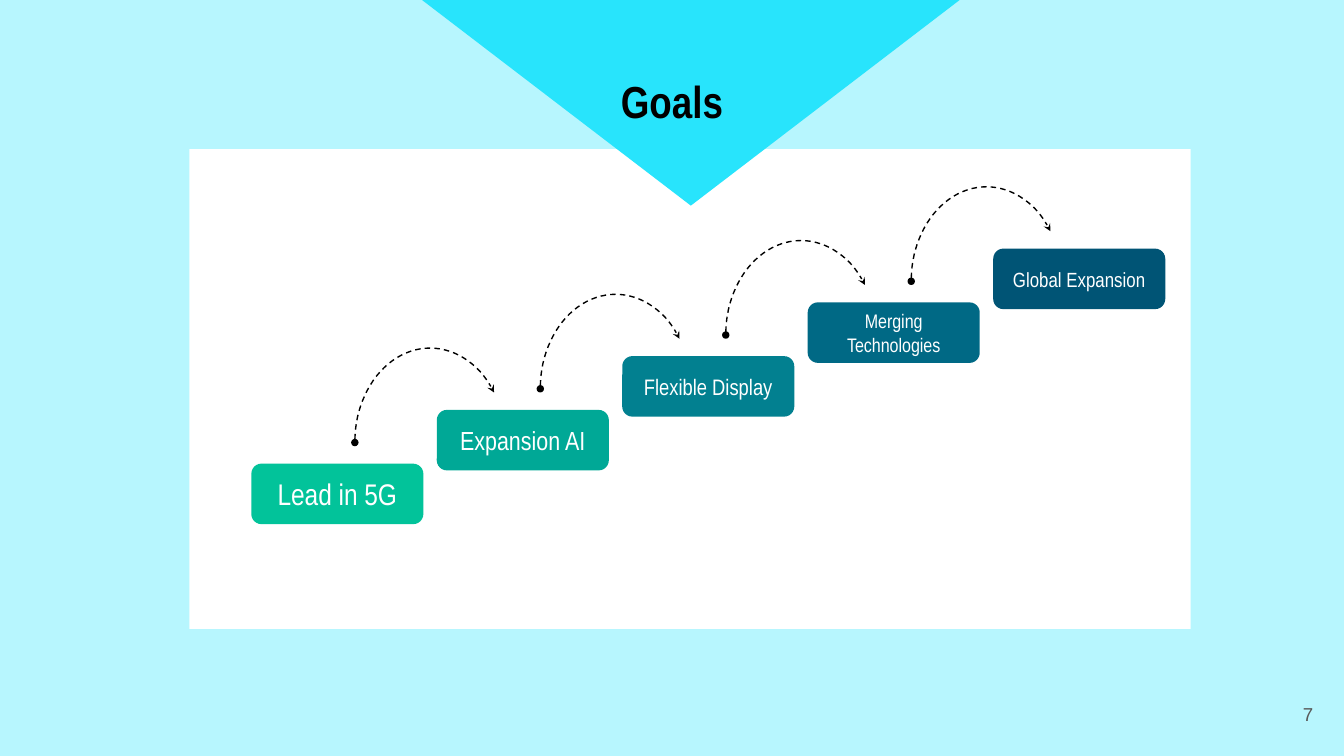
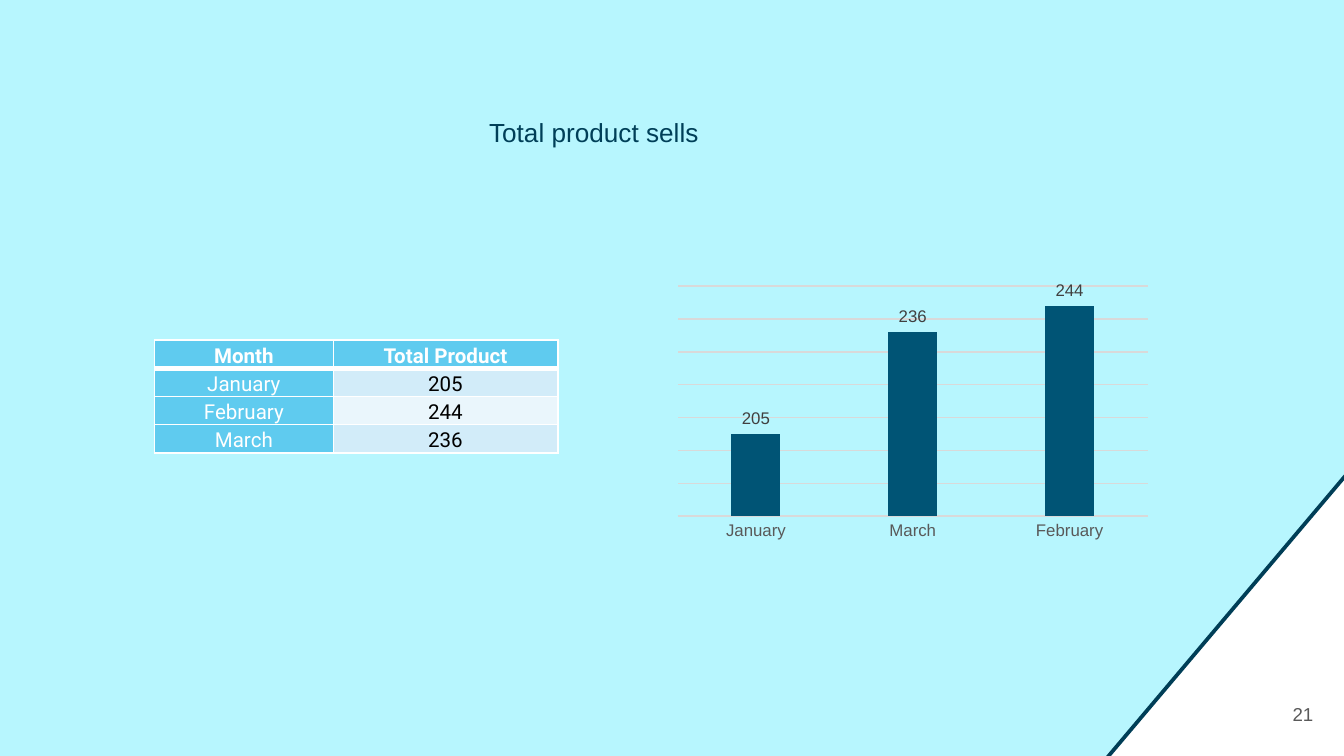
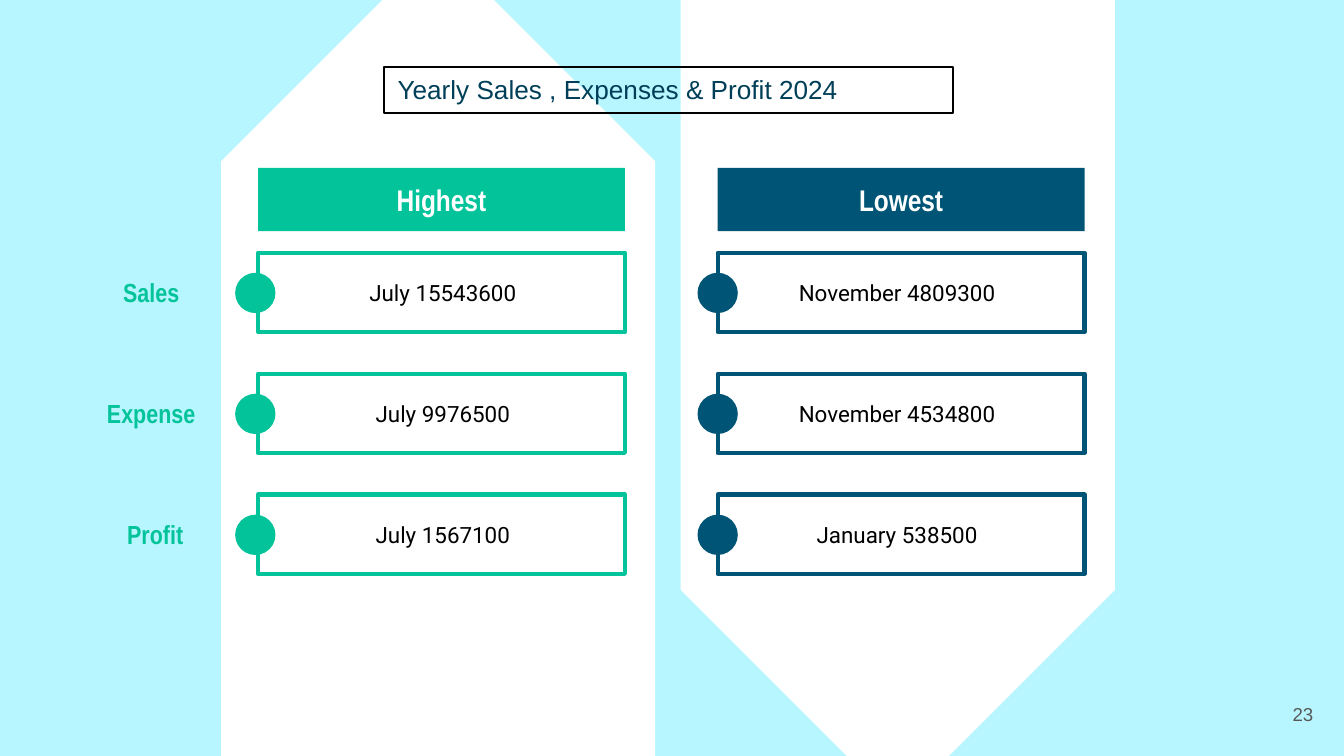
from pptx import Presentation
from pptx.chart.data import CategoryChartData
from pptx.dml.color import RGBColor
from pptx.enum.chart import XL_CHART_TYPE, XL_LABEL_POSITION, XL_TICK_LABEL_POSITION, XL_TICK_MARK
from pptx.enum.dml import MSO_LINE
from pptx.enum.shapes import MSO_SHAPE
from pptx.enum.text import MSO_ANCHOR, MSO_AUTO_SIZE, PP_ALIGN
from pptx.oxml import parse_xml
from pptx.oxml.ns import nsdecls
from pptx.util import Inches, Pt

RECT, ROUNDED, OVAL = MSO_SHAPE.RECTANGLE, MSO_SHAPE.ROUNDED_RECTANGLE, MSO_SHAPE.OVAL
ARC, TRIANGLE, PENTAGON = MSO_SHAPE.ARC, MSO_SHAPE.ISOSCELES_TRIANGLE, MSO_SHAPE.PENTAGON
LEFT, CENTER, RIGHT = PP_ALIGN.LEFT, PP_ALIGN.CENTER, PP_ALIGN.RIGHT
TOP, MIDDLE, BOTTOM = MSO_ANCHOR.TOP, MSO_ANCHOR.MIDDLE, MSO_ANCHOR.BOTTOM
FIXED, GROW = MSO_AUTO_SIZE.NONE, MSO_AUTO_SIZE.SHAPE_TO_FIT_TEXT
DASH, COLUMNS = MSO_LINE.DASH, XL_CHART_TYPE.COLUMN_CLUSTERED
OUTSIDE_END = XL_LABEL_POSITION.OUTSIDE_END
NO_TICK, NO_LABELS = XL_TICK_MARK.NONE, XL_TICK_LABEL_POSITION.NONE

# Colours and type styles: font, size, bold, colour, alignment, anchor, vertical inset, fit
THEME = {
    "background": "B7F6FE", "white": "FFFFFF", "black": "000000", "cyan": "28E4FC",
    "green": "02C39A", "navy": "005475", "edge": "003E57", "grid": "D9D9D9",
    "axis_text": "595959", "label_text": "404040",
    "table": "5FCBEF", "stripes": ("D2ECF9", "EAF6FC"),
    "steps": ("02C39A", "00A896", "028090", "006985", "005475"),
    "step_sizes": (16, 14, 12, 10.5, 11),
    "styles": {
        "title": ("Arial Narrow", 24, True, "000000", CENTER, TOP, 0.1, FIXED),
        "heading": ("Arial", 14, False, "003F58", LEFT, TOP, 0.05, GROW),
        "step": ("Arial Narrow", 16, False, "FFFFFF", CENTER, MIDDLE, 0.1, FIXED),
        "column": ("Arial Narrow", 16, True, "FFFFFF", CENTER, MIDDLE, 0.1, FIXED),
        "row": ("Arial Narrow", 14, True, "02C39A", CENTER, MIDDLE, 0.1, FIXED),
        "value": ("Roboto", 12, False, "000000", CENTER, MIDDLE, 0.1, FIXED),
        "number": ("Arial", 10, False, "595959", RIGHT, MIDDLE, 0.1, FIXED),
    },
}


def set_font(font, name, size, color, bold=False):
    formats = {"name": name, "size": Pt(size), "bold": bold}
    for key, value in formats.items():
        setattr(font, key, value)
    font.color.rgb = RGBColor.from_string(color)


def add_box(page, kind, at, fill=None, line=None, width=1, text=None, style=None, size=None):
    """Add a preset shape, or a text box when kind is None."""
    place = [Inches(length) for length in at]
    if kind is None:
        box = page.shapes.add_textbox(*place)
    else:
        box = page.shapes.add_shape(kind, *place)
        box.shadow.inherit = False
        if fill:
            box.fill.solid()
            box.fill.fore_color.rgb = RGBColor.from_string(fill)
        else:
            box.fill.background()
        if line:
            box.line.color.rgb = RGBColor.from_string(line)
            box.line.width = Pt(width)
        else:
            box.line.fill.background()
    if text:
        name, points, bold, color, align, anchor, inset, fit = THEME["styles"][style]
        frame = box.text_frame
        formats = {
            "word_wrap": True, "auto_size": fit, "vertical_anchor": anchor,
            "margin_left": Inches(0.1), "margin_right": Inches(0.1),
            "margin_top": Inches(inset), "margin_bottom": Inches(inset),
        }
        for key, value in formats.items():
            setattr(frame, key, value)
        para = frame.paragraphs[0]
        para.alignment = align
        span = para.add_run()
        span.text = text
        set_font(span.font, name, size or points, color, bold)
    return box


# Widescreen deck, 16 to 9
deck = Presentation()
deck.slide_width = Inches(10)
deck.slide_height = Inches(10) * 9 // 16
pages = [deck.slides.add_slide(deck.slide_layouts[6]) for _ in range(3)]
for page in pages:
    page.background.fill.solid()
    page.background.fill.fore_color.rgb = RGBColor.from_string(THEME["background"])
goals_page, product_page, yearly_page = pages

# Goals: rising steps joined by dashed arcs
add_box(goals_page, RECT, (1.41, 1.11, 7.45, 3.57), THEME["white"])
goals = ["Lead in 5G", "Expansion AI", "Flexible Display", "Merging Technologies", "Global Expansion"]
for step, goal in enumerate(goals):
    across, rise = 1.38 * step, 0.4 * step
    if step < len(goals) - 1:
        arc = add_box(goals_page, ARC, (2.64 + across, 2.59 - rise, 1.12, 1.4),
                      line=THEME["black"], width=0.75)
        arc.adjustments[0], arc.adjustments[1] = 107.8, 193.31
        arc.line.dash_style = DASH
        for end, mark in (("headEnd", "oval"), ("tailEnd", "stealth")):
            arc.line._get_or_add_ln().append(
                parse_xml(f'<a:{end} {nsdecls("a")} type="{mark}" w="sm" len="sm"/>'))
    add_box(goals_page, ROUNDED, (1.87 + across, 3.45 - rise, 1.28, 0.45), THEME["steps"][step],
            text=goal, style="step", size=THEME["step_sizes"][step])
add_box(goals_page, TRIANGLE, (3.14, 0, 4, 1.53), THEME["cyan"]).rotation = 180
add_box(goals_page, None, (0.5, 0.45, 9, 0.63), text="Goals", style="title")

# Total product: table
add_box(product_page, None, (3.54, 0.82, 4.31, 0.34), text="Total product sells", style="heading")
records = [("Month", "Total Product"), ("January", "205"), ("February", "244"), ("March", "236")]
table = product_page.shapes.add_table(
    len(records), 2, Inches(1.15), Inches(2.53), Inches(3), Inches(0.84)).table
for column, width in zip(table.columns, (1.33, 1.67)):
    column.width = Inches(width)
for r, record in enumerate(records):
    table.rows[r].height = Inches(0.21)
    for c, entry in enumerate(record):
        cell = table.cell(r, c)
        is_value = r > 0 and c == 1
        formats = {
            "margin_left": Inches(0.07), "margin_right": Inches(0.07),
            "margin_top": 0, "margin_bottom": 0, "vertical_anchor": BOTTOM,
        }
        for key, value in formats.items():
            setattr(cell, key, value)
        thick = {0: "lnB", 1: "lnT"}.get(r)
        for side in ("lnL", "lnR", "lnT", "lnB"):
            weight = Pt(3 if side == thick else 1)
            cell._tc.get_or_add_tcPr().append(parse_xml(
                f'<a:{side} {nsdecls("a")} w="{weight}"><a:solidFill>'
                f'<a:srgbClr val="{THEME["white"]}"/></a:solidFill></a:{side}>'))
        cell.fill.solid()
        cell.fill.fore_color.rgb = RGBColor.from_string(
            THEME["stripes"][(r - 1) % 2] if is_value else THEME["table"])
        para = cell.text_frame.paragraphs[0]
        para.alignment, para.line_spacing = CENTER, 1.07
        span = para.add_run()
        span.text = entry
        set_font(span.font, "Roboto", 11, THEME["black" if is_value else "white"], r == 0)

# Total product: column chart
data = CategoryChartData()
data.categories = ["January", "March", "February"]
data.add_series("Series 1", (205, 236, 244))
chart = product_page.shapes.add_chart(
    COLUMNS, Inches(4.73), Inches(2.07), Inches(3.89), Inches(1.99), data).chart
chart.has_legend = chart.has_title = False
set_font(chart.font, "Arial", 10, THEME["black"])
plot = chart.plots[0]
plot.gap_width, plot.overlap, plot.vary_by_categories = 219, -27, False
series = plot.series[0]
series.format.fill.solid()
series.format.fill.fore_color.rgb = RGBColor.from_string(THEME["navy"])
labels = series.data_labels
labels.show_value, labels.position = True, OUTSIDE_END
set_font(labels.font, "Arial", 9, THEME["label_text"])

months, amounts = chart.category_axis, chart.value_axis
months.major_tick_mark = NO_TICK
set_font(months.tick_labels.font, "Arial", 9, THEME["axis_text"])
formats = {
    "minimum_scale": 180, "maximum_scale": 250, "major_unit": 10,
    "has_major_gridlines": True, "tick_label_position": NO_LABELS, "visible": False,
}
for key, value in formats.items():
    setattr(amounts, key, value)
for line in (months.format.line, amounts.major_gridlines.format.line):
    line.color.rgb = RGBColor.from_string(THEME["grid"])
    line.width = Pt(0.75)

plot_area = chart._chartSpace.chart.plotArea
for layout in plot_area.findall("{*}layout"):
    plot_area.remove(layout)
frame_parts = "".join(f'<c:{key} val="{value}"/>' for key, value in (
    ("layoutTarget", "inner"), ("xMode", "edge"), ("yMode", "edge"),
    ("x", 0.08), ("y", 0.03), ("w", 0.9), ("h", 0.86)))
plot_area.insert(0, parse_xml(
    f'<c:layout {nsdecls("c")}><c:manualLayout>{frame_parts}</c:manualLayout></c:layout>'))

# Total product: white corner
corner = add_box(product_page, TRIANGLE, (8, 4.36, 3.41, 1.67), THEME["white"], THEME["edge"], 2)
corner.rotation = 130.2

# Yearly results: one arrow panel per column
for left, top, turn in ((0.24, 0.99, 270), (3.66, 1.37, 90)):
    add_box(yearly_page, PENTAGON, (left, top, 6.04, 3.23), THEME["white"]).rotation = turn

columns = [
    ("Highest", THEME["green"], 1.92, 1.75, 2.12, ("July 15543600", "July 9976500", "July 1567100")),
    ("Lowest", THEME["navy"], 5.34, 5.19, 5.5,
     ("November 4809300", "November 4534800", "January 538500")),
]
for name, color, left, dot_left, text_left, values in columns:
    add_box(yearly_page, RECT, (left, 1.25, 2.73, 0.47), color, text=name, style="column")
    for row, value in enumerate(values):
        top = 1.88 + 0.9 * row
        add_box(yearly_page, RECT, (left, top, 2.73, 0.59), line=color, width=2.25)
        add_box(yearly_page, OVAL, (dot_left, top + 0.15, 0.3, 0.3), color)
        add_box(yearly_page, None, (text_left, top + 0.06, 2.35, 0.47), text=value, style="value")
for row, (label, left, width) in enumerate(
        (("Sales", 0.65, 0.95), ("Expense", 0.5, 1.25), ("Profit", 0.53, 1.25))):
    add_box(yearly_page, None, (left, 1.88 + 0.9 * row, width, 0.59), text=label, style="row")
add_box(yearly_page, RECT, (2.86, 0.5, 4.23, 0.34), line=THEME["black"],
        text="Yearly Sales , Expenses & Profit 2024", style="heading")

# Slide numbers
for page, number in zip(pages, ("7", "21", "23")):
    add_box(page, None, (9.27, 5.1, 0.6, 0.43), text=number, style="number")

deck.save("out.pptx")
